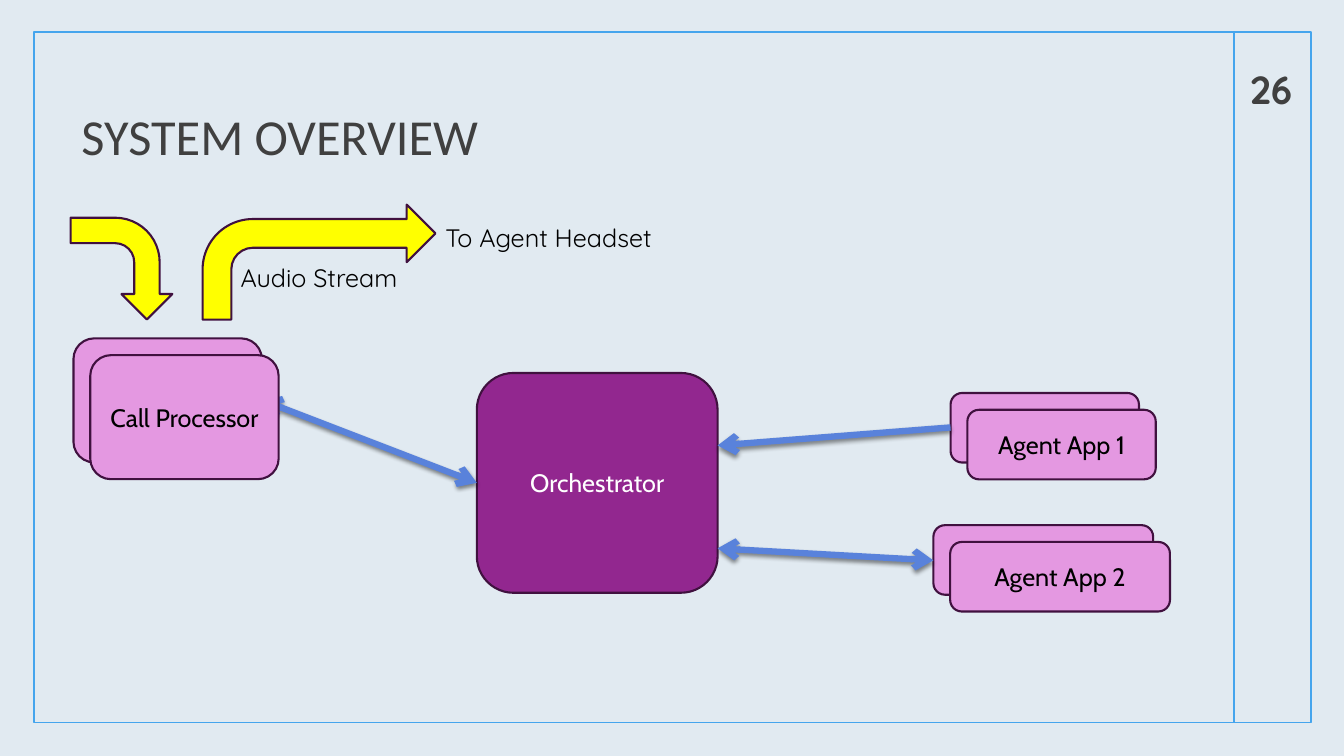
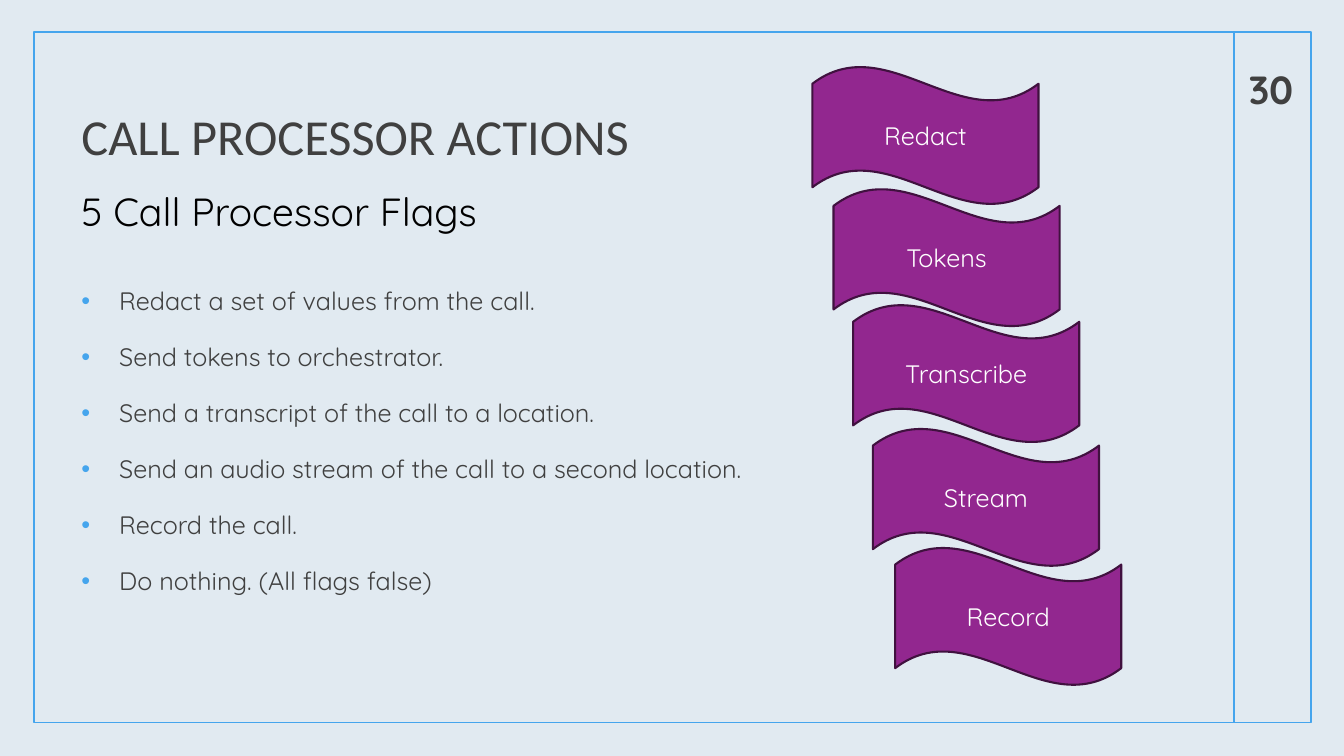
from pptx import Presentation
from pptx.dml.color import RGBColor as Rgb
from pptx.enum.shapes import MSO_CONNECTOR as Conn, MSO_SHAPE as Kind
from pptx.enum.text import MSO_ANCHOR as Anchor, MSO_AUTO_SIZE as Fit, PP_ALIGN as Align
from pptx.oxml import parse_xml
from pptx.oxml.ns import nsdecls, qn
from pptx.util import Pt

HUES = {
    "back": "E1EAF1",
    "sky": "45A5ED",
    "gray": "404040",
    "plum": "92278F",
    "edge": "40113F",
    "pink": "E498E1",
    "blue": "5982DB",
    "gold": "FFFF00",
    "black": "000000",
    "white": "FFFFFF",
}
HEAD, BODY, CARD = "Calibri", "Quicksand", "Cabin"
SHIFT = 12


def hue(name):
    return Rgb.from_string(HUES[name])


def node(tag, attrs="", inner=""):
    return parse_xml(f"<a:{tag} {nsdecls('a')} {attrs}>{inner}</a:{tag}>")


def place(shape, box):
    shape.left, shape.top, shape.width, shape.height = map(Pt, box)


def style(para, size, face, color, align=Align.LEFT, bold=False):
    para.alignment = align
    for run in para.runs:
        font = run.font
        font.size, font.name, font.bold = Pt(size), face, bold
        font.color.rgb = hue(color)


def write(frame, text, size, face, color, align=Align.LEFT, anchor=Anchor.TOP, bold=False):
    frame.text = text
    frame.vertical_anchor = anchor
    style(frame.paragraphs[0], size, face, color, align, bold)


def label(slide, box, text, size, color="black", wrap=False, **look):
    frame = slide.shapes.add_textbox(*map(Pt, box)).text_frame
    frame.word_wrap = wrap
    write(frame, text, size, BODY, color, **look)


def draw(slide, kind, box, fill=None, edge="edge", width=1.5):
    shape = slide.shapes.add_shape(kind, *map(Pt, box))
    shape.shadow.inherit = False
    if fill:
        shape.fill.solid()
        shape.fill.fore_color.rgb = hue(fill)
    else:
        shape.fill.background()
    shape.line.color.rgb = hue(edge)
    shape.line.width = Pt(width)
    return shape


def block(slide, kind, box, fill, text, face, color):
    shape = draw(slide, kind, box, fill)
    shape.text_frame.word_wrap = True
    write(shape.text_frame, text, 18, face, color, Align.CENTER, Anchor.MIDDLE)
    return shape


def line(slide, start, end, color, width):
    rule = slide.shapes.add_connector(Conn.STRAIGHT, *map(Pt, start + end))
    rule.line.color.rgb = hue(color)
    rule.line.width = Pt(width)
    glow = node("effectLst")
    rule._element.spPr.append(glow)
    return rule, glow


def link(slide, start, end, both=True):
    rule, glow = line(slide, start, end, "blue", 4.5)
    stroke = rule._element.spPr.find(qn("a:ln"))
    if both:
        stroke.append(node("headEnd", 'type="arrow"'))
    stroke.append(node("tailEnd", 'type="arrow"'))
    shade = f'<a:srgbClr val="{HUES["black"]}"><a:alpha val="45000"/></a:srgbClr>'
    attrs = f'blurRad="{Pt(3)}" dist="{Pt(2)}" dir="5400000" rotWithShape="0"'
    glow.append(node("outerShdw", attrs, shade))


def bullets(slide, box, items):
    frame = slide.shapes.add_textbox(*map(Pt, box)).text_frame
    frame.word_wrap = True
    for spot, item in enumerate(items):
        para = frame.add_paragraph() if spot else frame.paragraphs[0]
        para.text = item
        props = para._p.get_or_add_pPr()
        props.set("marL", str(Pt(27)))
        props.set("indent", str(-Pt(27)))
        props.append(node("buClr", "", f'<a:srgbClr val="{HUES["sky"]}"/>'))
        props.append(node("buFont", 'typeface="Arial"'))
        props.append(node("buChar", 'char="•"'))
        para.line_spacing = Pt(24)
        para.space_before = Pt(10 if spot else 0)
        para.space_after = Pt(6)
        style(para, 18, BODY, "gray")


def page(deck, title, number):
    slide = deck.slides.add_slide(deck.slide_layouts[5])
    line(slide, (881.3, 23), (881.3, 516.2), "sky", 1.25)
    draw(slide, Kind.RECTANGLE, (24.5, 23, 912.2, 493.2), None, "sky", 1.25)
    head = slide.shapes.title
    place(head, (51, 47.5, 805, 98.6))
    head.text_frame.auto_size = Fit.NONE
    write(head.text_frame, title, 36, HEAD, "gray", anchor=Anchor.MIDDLE)
    label(slide, (874.8, 23, 66.2, 60.5), number, 28, "gray", wrap=True,
          align=Align.CENTER, anchor=Anchor.BOTTOM, bold=True)
    return slide


def system(deck):
    slide = page(deck, "SYSTEM OVERVIEW", "26")
    block(slide, Kind.ROUNDED_RECTANGLE, (340.6, 266.4, 172, 157), "plum",
          "Orchestrator", CARD, "white")
    cards = [
        ("Call Processor", 52.5, 241.7, 134.6, 88.6),
        ("Agent App 2", 666.7, 375.1, 157, 49.7),
        ("Agent App 1", 679, 280.7, 134.6, 49.7),
    ]
    for _, *box in cards:
        draw(slide, Kind.ROUNDED_RECTANGLE, box, "pink")
    link(slide, (187.2, 285.8), (340.6, 344.9))
    link(slide, (666.7, 400.3), (512.6, 391.7))
    link(slide, (679, 305.3), (512.6, 318.2), both=False)
    draw(slide, Kind.BENT_ARROW, (50.4, 155.5, 72.7, 72.7), "gold").rotation = 90
    audio = block(slide, Kind.BENT_ARROW, (144.7, 146.2, 166.3, 82.1), "gold",
                  "Audio Stream", BODY, "black")
    audio.text_frame.margin_top = Pt(26)
    label(slide, (311, 155.5, 173.5, 28.8), "To Agent Headset", 18)
    for name, left, top, wide, high in cards:
        block(slide, Kind.ROUNDED_RECTANGLE, (left + SHIFT, top + SHIFT, wide, high),
              "pink", name, CARD, "black")


def actions(deck):
    slide = page(deck, "CALL PROCESSOR ACTIONS", "30")
    bullets(slide, (51, 198, 553, 242), [
        "Redact a set of values from the call.",
        "Send tokens to orchestrator.",
        "Send a transcript of the call to a location.",
        "Send an audio stream of the call to a second location.",
        "Record the call.",
        "Do nothing. (All flags false)",
    ])
    label(slide, (51, 130.3, 305.3, 41), "5 Call Processor Flags", 28)
    waves = [
        ("Redact", 580.3, 47.5),
        ("Tokens", 595.4, 134.8),
        ("Transcribe", 609.4, 217.6),
        ("Stream", 623.5, 306),
        ("Record", 639.4, 391),
    ]
    for name, left, top in waves:
        block(slide, Kind.WAVE, (left, top, 161.5, 98.6), "plum", name, BODY, "white")


def main():
    deck = Presentation()
    deck.slide_width, deck.slide_height = Pt(960), Pt(540)
    fill = deck.slide_master.background.fill
    fill.solid()
    fill.fore_color.rgb = hue("back")
    system(deck)
    actions(deck)
    deck.save("out.pptx")


if __name__ == "__main__":
    main()
